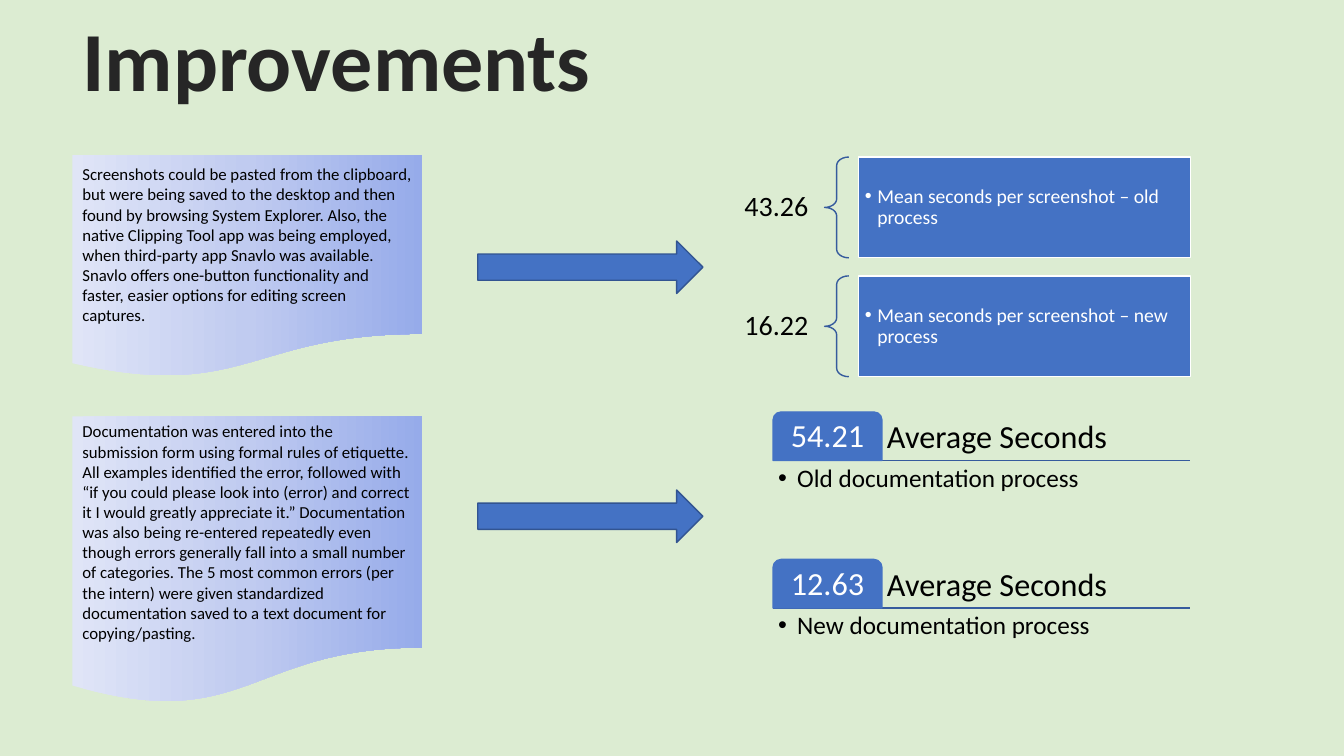
"""Build the Improvements slide: two process notes, each with its before and after times."""
from copy import deepcopy

from lxml.etree import SubElement
from pptx import Presentation
from pptx.dml.color import RGBColor as RGB
from pptx.enum.shapes import MSO_CONNECTOR as LINE, MSO_SHAPE as SHAPE
from pptx.enum.text import MSO_ANCHOR as ANCHOR, PP_ALIGN as ALIGN
from pptx.oxml.ns import qn
from pptx.util import Pt

COLORS = {
    "back": "DCECD2", "title": "262626", "black": "000000", "white": "FFFFFF",
    "blue": "4472C4", "edge": "365B9D", "arrow": "325491",
    "pale": "E0E5F7", "middle": "C0CBF0", "deep": "96ABEA",
}
C = {name: RGB.from_string(value) for name, value in COLORS.items()}

prs = Presentation()
prs.slide_width, prs.slide_height = Pt(960), Pt(540)
s = prs.slides.add_slide(prs.slide_layouts[6])
s.background.fill.solid()
s.background.fill.fore_color.rgb = C["back"]


def add_shape(kind, box, fill=None, line=None):
    sp = s.shapes.add_shape(kind, *map(Pt, box))
    sp.shadow.inherit = False
    if fill:
        sp.fill.solid()
        sp.fill.fore_color.rgb = C[fill]
    else:
        sp.fill.background()
    if line:
        sp.line.color.rgb = C[line]
        sp.line.width = Pt(1)
    else:
        sp.line.fill.background()
    return sp


def write(sp, words, size, color="black", anchor=ANCHOR.MIDDLE, align=ALIGN.LEFT,
          inset=(3.6, 3.6), spacing=0.9, bullet=0, bold=False):
    tf = sp.text_frame
    x, y = map(Pt, inset)
    frame = {"word_wrap": True, "vertical_anchor": anchor, "margin_left": x,
             "margin_right": x, "margin_top": y, "margin_bottom": y}
    for key, value in frame.items():
        setattr(tf, key, value)
    p = tf.paragraphs[0]
    p.alignment, p.line_spacing = align, spacing
    r = p.add_run()
    r.text = words
    for key, value in {"name": "Calibri", "size": Pt(size), "bold": bold}.items():
        setattr(r.font, key, value)
    r.font.color.rgb = C[color]
    if bullet:
        pPr = p._p.get_or_add_pPr()
        pPr.set("marL", str(Pt(bullet)))
        pPr.set("indent", str(-Pt(bullet)))
        SubElement(pPr, qn("a:buFont")).set("typeface", "Arial")
        SubElement(pPr, qn("a:buChar")).set("char", "•")


title = s.shapes.add_textbox(Pt(51.8), Pt(16.6), Pt(720), Pt(65.5))
write(title, "Improvements", 60, "title", ANCHOR.BOTTOM, inset=(7.2, 3.6), bold=True)

notes = [
    (110.9, 159.1, "Screenshots could be pasted from the clipboard, but were being saved to the "
     "desktop and then found by browsing System Explorer. Also, the native Clipping Tool app "
     "was being employed, when third-party app Snavlo was available. Snavlo offers one-button "
     "functionality and faster, easier options for editing screen captures."),
    (297.4, 205.9, "Documentation was entered into the submission form using formal rules of "
     "etiquette. All examples identified the error, followed with “if you could please look "
     "into (error) and correct it I would greatly appreciate it.” Documentation was also being "
     "re-entered repeatedly even though errors generally fall into a small number of "
     "categories. The 5 most common errors (per the intern) were given standardized "
     "documentation saved to a text document for copying/pasting."),
]
for top, height, words in notes:
    sp = add_shape(SHAPE.FLOWCHART_DOCUMENT, (51.8, top, 249.8, height))
    sp.fill.gradient()
    sp.fill.gradient_angle = 0
    gs_list = sp._element.spPr.find(qn("a:gradFill")).find(qn("a:gsLst"))
    gs_list.insert(1, deepcopy(gs_list[0]))
    for stop, position, color in zip(sp.fill.gradient_stops, (0, 0.5, 1),
                                     ("pale", "middle", "deep")):
        stop.position = position
        stop.color.rgb = C[color]
    write(sp, words, 12, inset=(7.2, 3.6), spacing=1)

for top in (172.1, 350):
    add_shape(SHAPE.RIGHT_ARROW, (341.3, top, 160.8, 37.5), "blue", "arrow")

for i, (seconds, age) in enumerate([("43.26", "old"), ("16.22", "new")]):
    top = 112.2 + 84.9 * i
    sp = s.shapes.add_textbox(Pt(501.8), Pt(top), Pt(87.1), Pt(72))
    write(sp, seconds, 20, align=ALIGN.RIGHT, inset=(11.5, 4.3))
    brace = add_shape(SHAPE.LEFT_BRACE, (589, top, 17.3, 72), line="edge")
    brace.adjustments[0] = 0.35
    sp = add_shape(SHAPE.RECTANGLE, (613.4, top, 236.9, 72), "blue", "white")
    write(sp, f"Mean seconds per screenshot – {age} process", 14, "white",
          inset=(4.3, 4.3), bullet=9)

for i, (seconds, age) in enumerate([("54.21", "Old"), ("12.63", "New")]):
    top = 294.3 + 105.3 * i
    base = top + 34.7
    cxn = s.shapes.add_connector(LINE.STRAIGHT, Pt(552.2), Pt(base), Pt(850.3), Pt(base))
    cxn.line.color.rgb = C["edge"]
    cxn.line.width = Pt(1)
    SubElement(cxn._element.spPr, qn("a:effectLst"))
    sp = s.shapes.add_textbox(Pt(630), Pt(top), Pt(220.3), Pt(34.7))
    write(sp, "Average Seconds", 23, anchor=ANCHOR.BOTTOM)
    tab = add_shape(SHAPE.ROUND_2_SAME_RECTANGLE, (552.2, top, 77.8, 34.7), "blue", "blue")
    tab.adjustments[0] = 0.167
    write(tab, seconds, 23, "white", align=ALIGN.CENTER)
    sp = s.shapes.add_textbox(Pt(552.2), Pt(base), Pt(298.1), Pt(69.1))
    write(sp, f"{age} documentation process", 18, anchor=ANCHOR.TOP, bullet=13.7)

prs.save("out.pptx")
